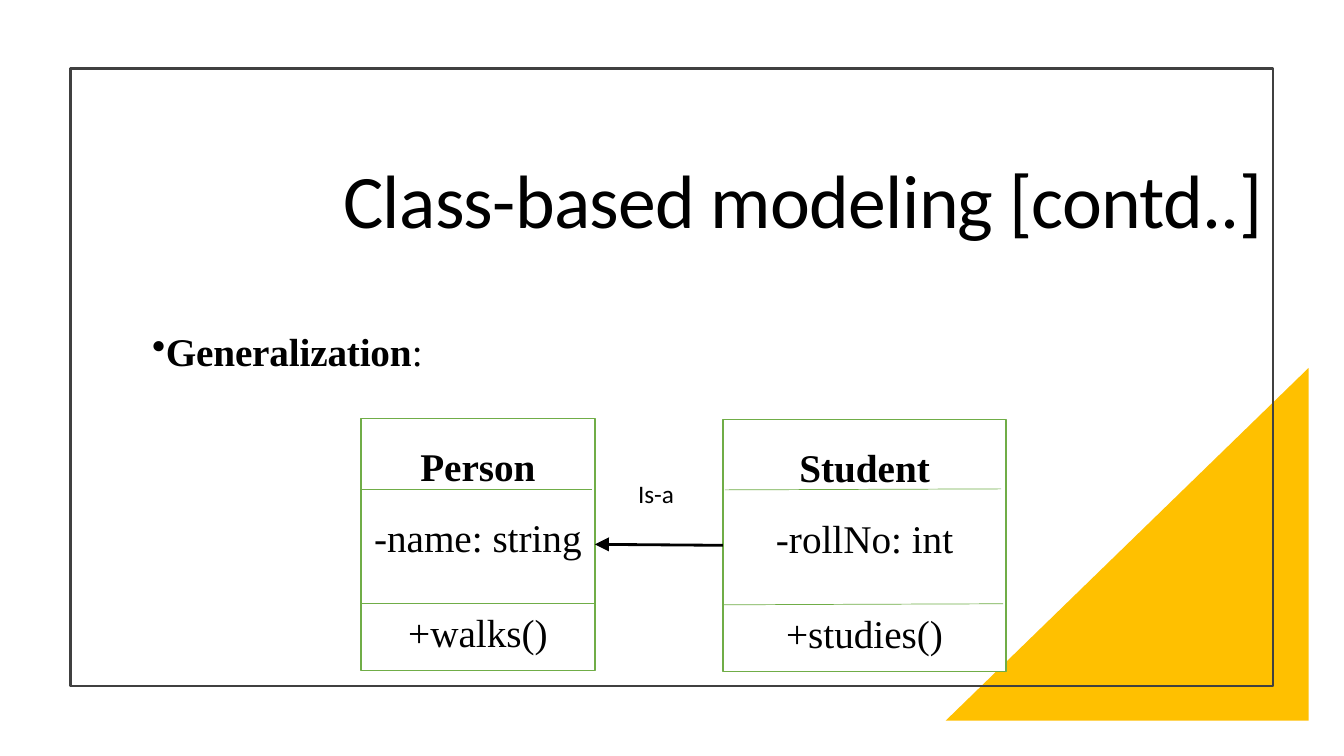
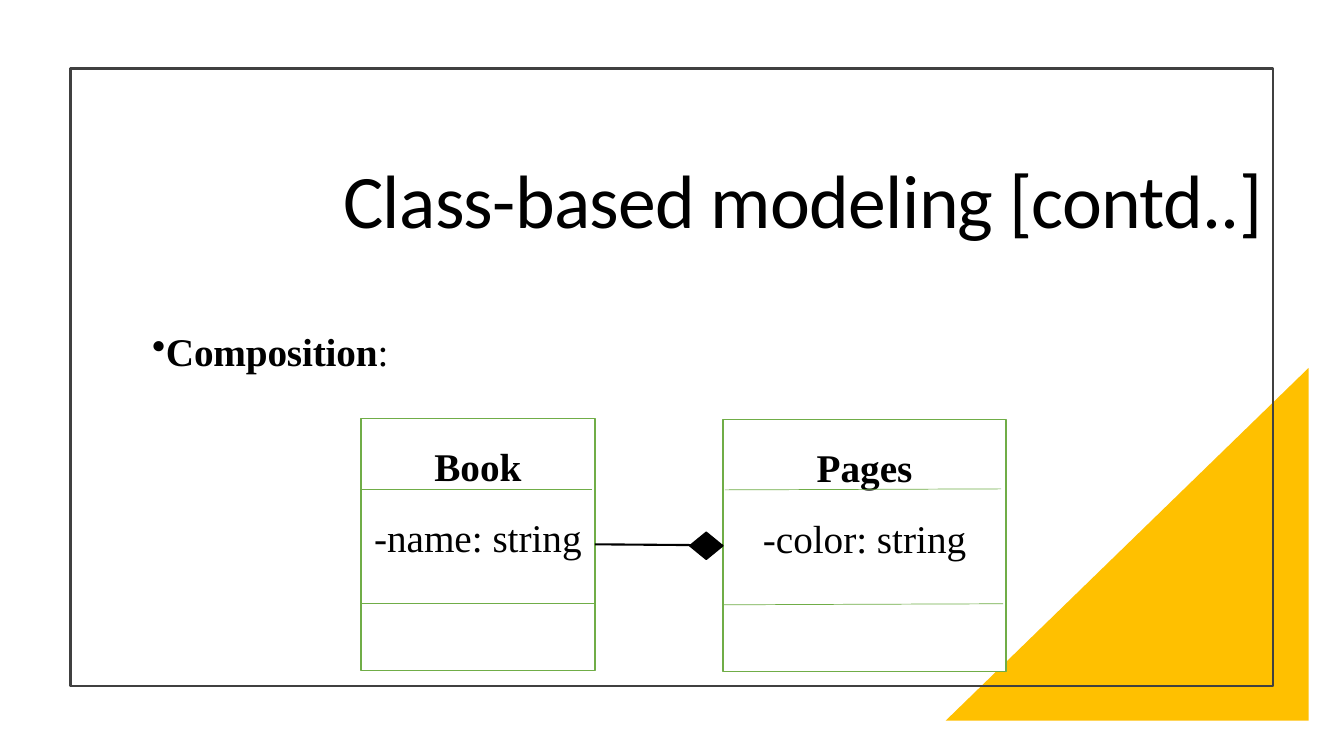
from dataclasses import dataclass

from pptx import Presentation
from pptx.dml.color import RGBColor
from pptx.enum.shapes import MSO_CONNECTOR, MSO_SHAPE
from pptx.enum.text import MSO_ANCHOR, PP_ALIGN
from pptx.oxml.ns import qn
from pptx.util import Inches, Pt
from lxml.etree import SubElement


@dataclass(frozen=True)
class Theme:
    ink: str = "000000"
    paper: str = "FFFFFF"
    accent: str = "FFC000"
    frame: str = "404040"
    outline: str = "70AD47"
    sans: str = "Calibri"
    serif: str = "Times New Roman"
    title_size: int = 54
    body_size: int = 28
    label_size: int = 18


THEME = Theme()
TITLE = "Class-based modeling [contd..]"
LEFT_BOX = (3.58, 4.15, 2.32, 2.5)
RIGHT_BOX = (7.17, 4.16, 2.81, 2.5)
LEFT_DIVIDERS = ((0.7, 0, 0.03, 0), (1.84, 0, 0.01, 0))
RIGHT_DIVIDERS = ((0.7, 0.02, 0.05, 0.01), (1.84, 0, 0.03, 0.01))


def set_all(target, values):
    for name, value in values.items():
        setattr(target, name, value)


def add_run(p, text, size, font, bold=False, spacing=0):
    r = p.add_run()
    r.text = text
    set_all(r.font, {"size": Pt(size), "name": font, "bold": bold})
    r.font.color.rgb = RGBColor.from_string(THEME.ink)
    if spacing:
        r.font._element.set("spc", str(round(spacing * 100)))


def set_indent(p, left, first=0):
    pPr = p._p.get_or_add_pPr()
    pPr.set("marL", str(Inches(left)))
    pPr.set("indent", str(Inches(first)))
    return pPr


def add_box(s, kind, at, fill=None, line=None, width=1):
    sp = s.shapes.add_shape(kind, *map(Inches, at))
    sp.shadow.inherit = False
    if fill:
        sp.fill.solid()
        sp.fill.fore_color.rgb = RGBColor.from_string(fill)
    else:
        sp.fill.background()
    if line:
        sp.line.color.rgb = RGBColor.from_string(line)
        sp.line.width = Pt(width)
    else:
        sp.line.fill.background()
    return sp


def add_line(s, start, end, color, width):
    points = map(Inches, (*start, *end))
    line = s.shapes.add_connector(MSO_CONNECTOR.STRAIGHT, *points)
    line.line.color.rgb = RGBColor.from_string(color)
    line.line.width = Pt(width)
    SubElement(line._element.spPr, qn("a:effectLst"))
    return line


def add_text(s, at, anchor=MSO_ANCHOR.TOP):
    tf = s.shapes.add_textbox(*map(Inches, at)).text_frame
    set_all(tf, {"word_wrap": True, "vertical_anchor": anchor})
    return tf.paragraphs[0]


def add_title(s, text):
    p = add_text(s, (1.05, 1.14, 11.57, 1.77), MSO_ANCHOR.MIDDLE)
    set_all(p, {"alignment": PP_ALIGN.RIGHT, "line_spacing": 0.9})
    set_indent(p, 0.25)
    add_run(p, text, THEME.title_size, THEME.sans, spacing=-0.5)


def add_topic(s, topic):
    p = add_text(s, (1.41, 3.25, 10.07, 3.06))
    set_all(p, {"alignment": PP_ALIGN.JUSTIFY, "line_spacing": 0.9})
    SubElement(set_indent(p, 0.01, -0.25), qn("a:buChar")).set("char", "•")
    for text, bold in ((topic, True), (":", False)):
        add_run(p, text, THEME.body_size, THEME.serif, bold, -0.1)


def add_class(s, at, dividers, name, *members):
    sp = add_box(s, MSO_SHAPE.RECTANGLE, at, THEME.paper, THEME.outline)
    tf = sp.text_frame
    set_all(tf, {"word_wrap": True, "vertical_anchor": MSO_ANCHOR.TOP,
                 "margin_top": Inches(0.24)})
    for i, (text, gap) in enumerate(zip((name, *members), (0, 17, 34))):
        p = tf.paragraphs[0] if i == 0 else tf.add_paragraph()
        set_all(p, {"alignment": PP_ALIGN.CENTER, "space_before": Pt(gap)})
        add_run(p, text, THEME.body_size, THEME.serif, bold=i == 0)
    x, y, w, _ = at
    for drop, left_gap, right_gap, rise in dividers:
        add_line(s, (x + left_gap, y + drop),
                 (x + w - right_gap, y + drop - rise), THEME.outline, 0.5)
    return sp


def add_relation(s, left, right, width):
    line = add_line(s, (5.9, 5.4), (7.17, 5.41), THEME.ink, width)
    line.begin_connect(left, 3)
    line.end_connect(right, 1)
    return line


def add_arrowhead(line):
    head = SubElement(line.line._get_or_add_ln(), qn("a:headEnd"))
    for name, value in {"type": "triangle", "w": "lg", "len": "lg"}.items():
        head.set(name, value)


def add_diagram_slide(prs, topic, left, right, width):
    s = prs.slides.add_slide(prs.slide_layouts[6])
    corner = add_box(s, MSO_SHAPE.RIGHT_TRIANGLE, (9.38, 3.65, 3.6, 3.5),
                     THEME.accent)
    corner._element.spPr.xfrm.set("flipH", "1")
    add_box(s, MSO_SHAPE.RECTANGLE, (0.7, 0.68, 11.93, 6.13),
            line=THEME.frame, width=1.5)
    add_title(s, TITLE)
    add_topic(s, topic)
    left_class = add_class(s, LEFT_BOX, LEFT_DIVIDERS, *left)
    right_class = add_class(s, RIGHT_BOX, RIGHT_DIVIDERS, *right)
    return s, add_relation(s, left_class, right_class, width)


def main():
    prs = Presentation()
    set_all(prs, {"slide_width": Inches(13.33), "slide_height": Inches(7.5)})

    s, relation = add_diagram_slide(
        prs, "Generalization", ("Person", "-name: string", "+walks()"),
        ("Student", "-rollNo: int", "+studies()"), 2)
    add_arrowhead(relation)
    label = add_text(s, (6.23, 4.7, 0.96, 0.4))
    add_run(label, "Is-a", THEME.label_size, THEME.sans)

    s, _ = add_diagram_slide(
        prs, "Composition", ("Book", "-name: string"),
        ("Pages", "-color: string"), 1.5)
    add_box(s, MSO_SHAPE.DIAMOND, (6.84, 5.28, 0.33, 0.27),
            THEME.ink, THEME.ink)

    prs.save("out.pptx")


if __name__ == "__main__":
    main()
